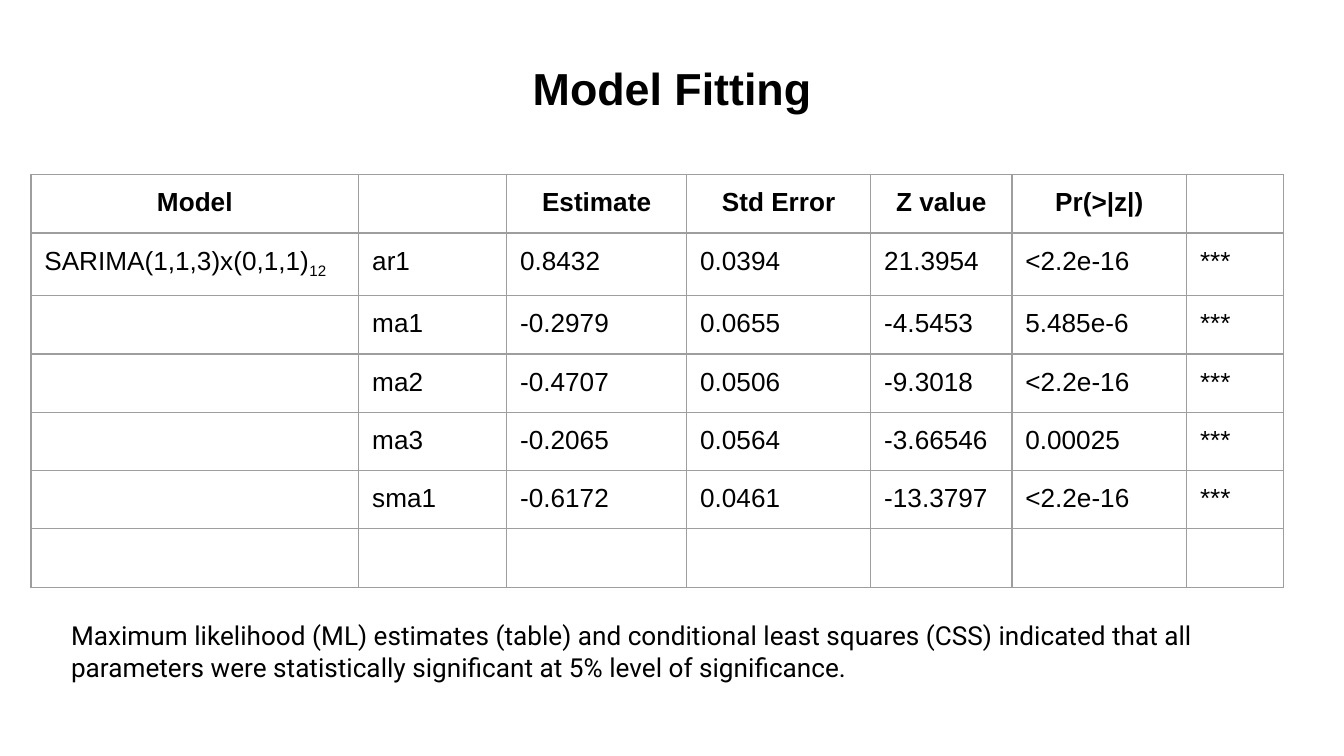
"""Build the model fitting slide with its table of SARIMA estimates."""
from dataclasses import astuple, dataclass

from lxml.etree import SubElement
from pptx import Presentation
from pptx.dml.color import RGBColor
from pptx.enum.text import PP_ALIGN
from pptx.oxml.ns import qn
from pptx.util import Inches, Pt

BLACK, GREY = "000000", "9E9E9E"
INSET = Inches(0.1)
ROW_HEIGHT = 0.42
COLUMN_WIDTHS = (2.44, 1.1, 1.34, 1.37, 1.05, 1.3, 0.72)
HEADINGS = ("Model", "", "Estimate", "Std Error", "Z value", "Pr(>|z|)", "")
MODEL, SEASON = "SARIMA(1,1,3)x(0,1,1)", "12"


@dataclass
class Coefficient:
    name: str
    estimate: str
    std_error: str
    z_value: str
    p_value: str
    stars: str = "***"


@dataclass
class Caption:
    text: str
    left: float
    top: float
    width: float
    height: float
    size: int
    font: str
    bold: bool = False
    align: PP_ALIGN = PP_ALIGN.LEFT


COEFFICIENTS = (
    Coefficient("ar1", "0.8432", "0.0394", "21.3954", "<2.2e-16"),
    Coefficient("ma1", "-0.2979", "0.0655", "-4.5453", "5.485e-6"),
    Coefficient("ma2", "-0.4707", "0.0506", "-9.3018", "<2.2e-16"),
    Coefficient("ma3", "-0.2065", "0.0564", "-3.66546", "0.00025"),
    Coefficient("sma1", "-0.6172", "0.0461", "-13.3797", "<2.2e-16"),
)
TITLE = Caption("Model Fitting", 0.34, 0.35, 9.32, 0.75, 24, "Arial", True, PP_ALIGN.CENTER)
FINDING = Caption(
    "Maximum likelihood (ML) estimates (table) and conditional least squares (CSS) "
    "indicated that all parameters were statistically significant at 5% level of significance.",
    0.43, 4.51, 9.02, 0.62, 14, "Roboto",
)


def color(value: str) -> RGBColor:
    """Turn a hex string into a colour."""
    return RGBColor.from_string(value)


def format_run(run, size: int, font: str, bold: bool) -> None:
    """Apply the typeface settings to a run."""
    run.font.size = Pt(size)
    run.font.name = font
    run.font.bold = bold
    run.font.color.rgb = color(BLACK)


def set_insets(holder) -> None:
    """Give a text frame or cell equal margins."""
    holder.margin_left = holder.margin_right = INSET
    holder.margin_top = holder.margin_bottom = INSET


def add_caption(slide, caption: Caption) -> None:
    """Place a wrapped text box."""
    position = (caption.left, caption.top, caption.width, caption.height)
    frame = slide.shapes.add_textbox(*map(Inches, position)).text_frame
    frame.word_wrap = True
    set_insets(frame)
    frame.text = caption.text
    paragraph = frame.paragraphs[0]
    paragraph.alignment = caption.align
    format_run(paragraph.runs[0], caption.size, caption.font, caption.bold)


def add_borders(cell) -> None:
    """Draw a thin grey line on all four sides of a cell."""
    properties = cell._tc.get_or_add_tcPr()
    for position, side in enumerate(("lnL", "lnR", "lnT", "lnB")):
        line = SubElement(properties, qn(f"a:{side}"), w=str(Pt(0.75)))
        fill = SubElement(line, qn("a:solidFill"))
        SubElement(fill, qn("a:srgbClr"), val=GREY)
        properties.insert(position, line)


def fill_cell(cell, text: str, heading: bool) -> None:
    """Write and format one table cell."""
    cell.fill.background()
    add_borders(cell)
    set_insets(cell)
    paragraph = cell.text_frame.paragraphs[0]
    if text:
        paragraph.text = text
        paragraph.alignment = PP_ALIGN.CENTER if heading else PP_ALIGN.LEFT
        format_run(paragraph.runs[0], 14, "Arial", heading)
    ending = SubElement(paragraph._p, qn("a:endParaRPr"), sz="1400")
    SubElement(ending, qn("a:latin"), typeface="Arial")


def add_estimates(slide) -> None:
    """Build the table of coefficients and its model label."""
    rows = [HEADINGS]
    rows += [("" if index else MODEL, *astuple(item)) for index, item in enumerate(COEFFICIENTS)]
    rows.append(("",) * len(HEADINGS))
    table = slide.shapes.add_table(
        len(rows), len(HEADINGS), Inches(0.23), Inches(1.3),
        Inches(sum(COLUMN_WIDTHS)), Inches(ROW_HEIGHT * len(rows)),
    ).table
    table.first_row = table.horz_banding = False
    for column, width in zip(table.columns, COLUMN_WIDTHS):
        column.width = Inches(width)
    for row_index, values in enumerate(rows):
        table.rows[row_index].height = Inches(ROW_HEIGHT)
        for column_index, text in enumerate(values):
            fill_cell(table.cell(row_index, column_index), text, row_index == 0)
    season = table.cell(1, 0).text_frame.paragraphs[0].add_run()
    season.text = SEASON
    format_run(season, 14, "Arial", False)
    season.font._element.set("baseline", "-25000")


def main() -> None:
    """Create and save the presentation."""
    presentation = Presentation()
    presentation.slide_width = Inches(10)
    presentation.slide_height = presentation.slide_width * 9 // 16
    slide = presentation.slides.add_slide(presentation.slide_layouts[6])
    add_caption(slide, TITLE)
    add_estimates(slide)
    add_caption(slide, FINDING)
    presentation.save("out.pptx")


if __name__ == "__main__":
    main()
